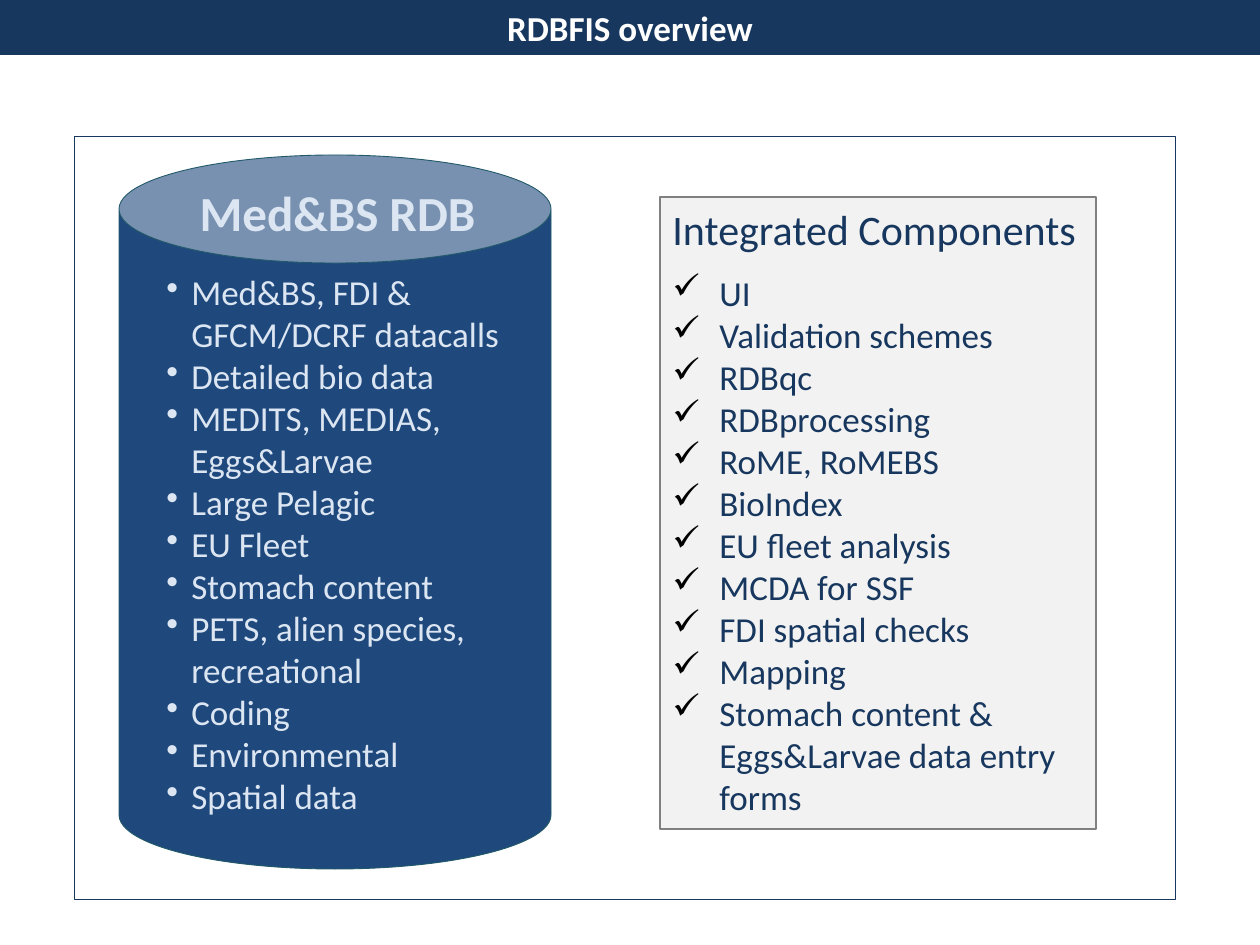
from dataclasses import dataclass
from typing import Optional

from lxml import etree
from pptx import Presentation
from pptx import util as u
from pptx.dml import color as dml
from pptx.enum import shapes, text
from pptx.oxml import ns

SCALE = 914400 / 126
COLORS = {
    "navy": "17375E",
    "blue": "1F497D",
    "teal": "215968",
    "pale": "DCE6F2",
    "white": "FFFFFF",
    "light": "F2F2F2",
    "gray": "808080",
    "black": "000000",
}


@dataclass(frozen=True)
class Frame:
    left: int
    top: int
    width: int
    height: int


@dataclass(frozen=True)
class Listing:
    heading: str
    heading_size: int
    heading_bold: bool
    heading_align: text.PP_ALIGN
    heading_gap: int
    color: str
    bullet: str
    indent: int
    items: tuple[str, ...]
    bullet_color: Optional[str] = None


DATABASE = Listing(
    "Med&BS RDB", 28, True, text.PP_ALIGN.CENTER, 17, "pale", "•", 25,
    (
        "Med&BS, FDI & GFCM/DCRF datacalls",
        "Detailed bio data",
        "MEDITS, MEDIAS, Eggs&Larvae",
        "Large Pelagic",
        "EU Fleet",
        "Stomach content",
        "PETS, alien species, recreational",
        "Coding",
        "Environmental",
        "Spatial data",
    ),
)
COMPONENTS = Listing(
    "Integrated Components", 24, False, text.PP_ALIGN.LEFT, 10, "navy", "✓", 47,
    (
        "UI",
        "Validation schemes",
        "RDBqc",
        "RDBprocessing",
        "RoME, RoMEBS",
        "BioIndex",
        "EU fleet analysis",
        "MCDA for SSF",
        "FDI spatial checks",
        "Mapping",
        "Stomach content & Eggs&Larvae data entry forms",
    ),
    "black",
)


def px(value: int) -> int:
    return round(value * SCALE)


def rgb(name: str) -> dml.RGBColor:
    return dml.RGBColor.from_string(COLORS[name])


def apply(target, values: dict) -> None:
    for name, value in values.items():
        setattr(target, name, value)


def corners(frame: Frame) -> tuple[int, int, int, int]:
    return px(frame.left), px(frame.top), px(frame.width), px(frame.height)


def paint(shape, fill: Optional[str]) -> None:
    if fill:
        shape.fill.solid()
        shape.fill.fore_color.rgb = rgb(fill)
    else:
        shape.fill.background()


def add_block(page, kind: shapes.MSO_SHAPE, frame: Frame, fill: Optional[str],
              line: str, weight: float):
    shape = page.shapes.add_shape(kind, *corners(frame))
    shape.shadow.inherit = False
    paint(shape, fill)
    shape.line.color.rgb = rgb(line)
    shape.line.width = u.Pt(weight)
    return shape


def add_bullet(para, listing: Listing) -> None:
    props = para._p.get_or_add_pPr()
    props.set("marL", str(px(listing.indent)))
    props.set("indent", str(-px(listing.indent)))
    if listing.bullet_color:
        holder = etree.SubElement(props, ns.qn("a:buClr"))
        etree.SubElement(holder, ns.qn("a:srgbClr"), val=COLORS[listing.bullet_color])
    etree.SubElement(props, ns.qn("a:buChar"), char=listing.bullet)


def write(para, words: str, size: int, color: str, bold: bool) -> None:
    span = para.add_run()
    span.text = words
    apply(span.font, {"name": "Calibri", "size": u.Pt(size), "bold": bold})
    span.font.color.rgb = rgb(color)


def write_listing(box, listing: Listing) -> None:
    apply(box.text_frame, {
        "word_wrap": True,
        "auto_size": text.MSO_AUTO_SIZE.NONE,
        "vertical_anchor": text.MSO_ANCHOR.TOP,
    })
    para = box.text_frame.paragraphs[0]
    apply(para, {
        "alignment": listing.heading_align,
        "space_after": u.Pt(listing.heading_gap),
    })
    write(para, listing.heading, listing.heading_size, listing.color,
          listing.heading_bold)
    for item in listing.items:
        para = box.text_frame.add_paragraph()
        para.alignment = text.PP_ALIGN.LEFT
        add_bullet(para, listing)
        write(para, item, 20, listing.color, False)


def set_title(page, words: str, frame: Frame) -> None:
    title = page.shapes.title
    apply(title, dict(zip(("left", "top", "width", "height"), corners(frame))))
    paint(title, "navy")
    apply(title.text_frame, {
        "word_wrap": True,
        "auto_size": text.MSO_AUTO_SIZE.NONE,
        "vertical_anchor": text.MSO_ANCHOR.MIDDLE,
    })
    para = title.text_frame.paragraphs[0]
    para.alignment = text.PP_ALIGN.CENTER
    write(para, words, 20, "white", True)


def main() -> None:
    deck = Presentation()
    apply(deck, {"slide_width": px(1260), "slide_height": px(945)})
    page = deck.slides.add_slide(deck.slide_layouts.get_by_name("Title Only"))
    set_title(page, "RDBFIS overview", Frame(0, 0, 1260, 55))

    add_block(page, shapes.MSO_SHAPE.CAN, Frame(119, 155, 432, 714),
              "blue", "teal", 0.5)
    box = page.shapes.add_textbox(*corners(Frame(154, 176, 367, 653)))
    write_listing(box, DATABASE)
    add_block(page, shapes.MSO_SHAPE.RECTANGLE, Frame(74, 136, 1101, 763),
              None, "navy", 0.5)
    panel = add_block(page, shapes.MSO_SHAPE.RECTANGLE, Frame(660, 197, 436, 632),
                      "light", "gray", 0.75)
    write_listing(panel, COMPONENTS)

    deck.save("out.pptx")


if __name__ == "__main__":
    main()
